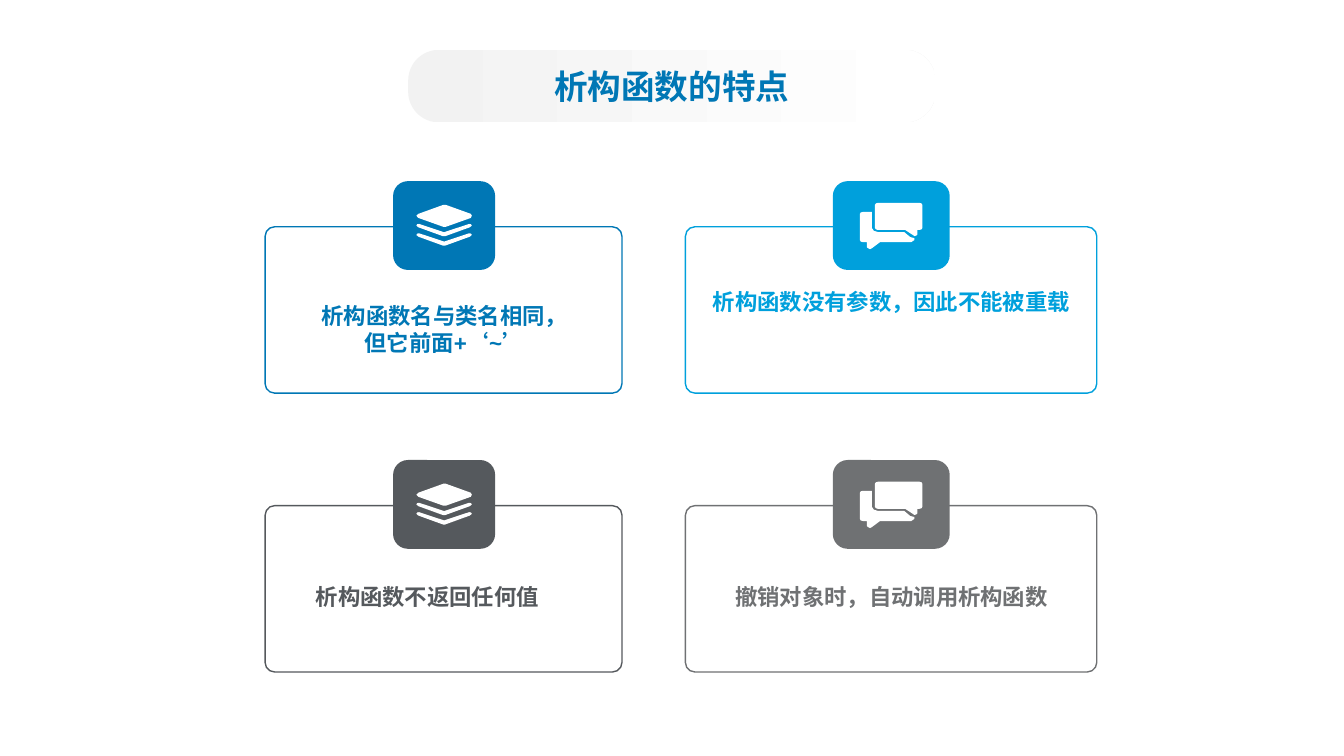
from pptx import Presentation
from pptx.dml.color import RGBColor
from pptx.enum.shapes import MSO_SHAPE
from pptx.enum.text import MSO_ANCHOR, PP_ALIGN
from pptx.util import Pt

ROUNDED = MSO_SHAPE.ROUNDED_RECTANGLE
CENTER = PP_ALIGN.CENTER
MIDDLE = MSO_ANCHOR.MIDDLE

THEME = {
    "blue": RGBColor.from_string("0077B5"),
    "sky": RGBColor.from_string("00A0DC"),
    "charcoal": RGBColor.from_string("55595D"),
    "gray": RGBColor.from_string("6F7173"),
    "white": RGBColor.from_string("FFFFFF"),
    "mist": RGBColor.from_string("F2F2F2"),
    "title_font": "Noto Sans CJK SC",
    "body_font": "Arial",
    "title_size": Pt(24),
    "body_size": Pt(16),
}

SHEET = [(38.9, 9.4), (20.9, 15.8), (19.4, 15.8), (1.4, 9.4), (0, 7.9),
         (1.4, 6.5), (19.4, 0), (20.9, 0), (38.9, 6.5), (39.6, 7.9)]
CHEVRON = [(2, 0), (0.6, 0.2), (0, 1.2), (1.4, 2.4), (19.1, 8.8), (20.5, 8.8),
           (38.2, 2.4), (39.6, 1.2), (39, 0.2), (37.6, 0), (19.8, 5.9)]
LAYERS = [SHEET] + [[(x, y + drop) for x, y in CHEVRON] for drop in (13.7, 20.4)]

FRONT_BUBBLE = [(42.5, 19.4), (41, 19.4), (41, 22.7), (40.3, 23.4), (38.9, 23.8),
                (38.2, 23.2), (32.4, 19.4), (13, 19.4), (11.5, 19), (10.8, 18),
                (10.8, 1.4), (11.5, 0.4), (13, 0), (42.5, 0), (44, 0.4),
                (44.6, 1.4), (44.6, 18), (44, 19)]
BACK_BUBBLE = [(31.7, 20.9), (36, 24.5), (38.9, 25.2), (38.9, 26.6), (36.7, 28.1),
               (14.4, 28.1), (8.6, 32.4), (7.2, 33.1), (5.8, 32.4), (5, 31.7),
               (5, 28.1), (2.2, 28.1), (0.6, 27.7), (0, 26.6), (0, 7.9),
               (0.6, 6.9), (2.2, 6.5), (8.6, 6.5), (8.6, 18), (10, 20), (13, 20.9)]
CHAT = [FRONT_BUBBLE, BACK_BUBBLE]

COLUMNS = [
    {"frame": (189.4, 254.9), "badge": (280.8, 72.9), "icon": (297.4, 146.3, LAYERS)},
    {"frame": (489.6, 293.8), "badge": (594.9, 83.5), "icon": (614.2, 144.9, CHAT)},
]
ROW_PITCH = 199.2
CARDS = [
    ("blue", ["析构函数名与类名相同，", "但它前面+‘~’"], (201.6, 216, 231.8, 53.3)),
    ("sky", ["析构函数没有参数，因此不能被重载"], (503.3, 205.9, 267.1, 63.4)),
    ("charcoal", ["析构函数不返回任何值"], (189.4, 416.2, 231.8, 50.4)),
    ("gray", ["撤销对象时，自动调用析构函数"], (503.3, 416.2, 267.1, 19.4)),
]


def add_rounded(left, top, width, height, roundness):
    shape = slide.shapes.add_shape(ROUNDED, Pt(left), Pt(top), Pt(width), Pt(height))
    shape.shadow.inherit = False
    shape.adjustments[0] = roundness
    return shape


def write_line(paragraph, text, font_name, size, color):
    paragraph.text = text
    paragraph.alignment = CENTER
    paragraph.font.name = font_name
    paragraph.font.size = size
    paragraph.font.bold = True
    paragraph.font.color.rgb = color


presentation = Presentation()
presentation.slide_width = Pt(960)
presentation.slide_height = Pt(540)
slide = presentation.slides.add_slide(presentation.slide_layouts[6])

for index, (color_name, lines, text_area) in enumerate(CARDS):
    row, column_index = divmod(index, 2)
    column = COLUMNS[column_index]
    color = THEME[color_name]
    row_shift = row * ROW_PITCH

    left, width = column["frame"]
    frame = add_rounded(left, 162 + row_shift, width, 118.8, 0.057)
    frame.fill.background()
    frame.line.color.rgb = color
    frame.line.width = Pt(1)

    left, width = column["badge"]
    badge = add_rounded(left, 129.4 + row_shift, width, 63.4, 0.167)
    badge.fill.solid()
    badge.fill.fore_color.rgb = color
    badge.line.fill.background()

    icon_left, icon_top, outlines = column["icon"]
    builder = slide.shapes.build_freeform()
    for outline in outlines:
        points = [(Pt(x), Pt(y)) for x, y in outline]
        builder.move_to(*points[0])
        builder.add_line_segments(points[1:], close=True)
    icon = builder.convert_to_shape(Pt(icon_left), Pt(icon_top + row_shift))
    icon.shadow.inherit = False
    icon.fill.solid()
    icon.fill.fore_color.rgb = THEME["white"]
    icon.line.fill.background()

    caption = slide.shapes.add_textbox(*[Pt(length) for length in text_area])
    text_frame = caption.text_frame
    text_frame.word_wrap = False
    text_frame.margin_left = text_frame.margin_right = 0
    text_frame.margin_top = text_frame.margin_bottom = 0
    for line_index, line in enumerate(lines):
        paragraph = text_frame.add_paragraph() if line_index else text_frame.paragraphs[0]
        write_line(paragraph, line, THEME["body_font"], THEME["body_size"], color)

title = add_rounded(291.6, 35.6, 376.6, 51.8, 0.423)
title.line.fill.background()
title.fill.gradient()
title.fill.gradient_angle = 0
for stop, position, color_name in zip(title.fill.gradient_stops, (0, 0.99), ("mist", "white")):
    stop.position = position
    stop.color.rgb = THEME[color_name]
title.text_frame.vertical_anchor = MIDDLE
write_line(title.text_frame.paragraphs[0], "析构函数的特点",
           THEME["title_font"], THEME["title_size"], THEME["blue"])

presentation.save("out.pptx")
